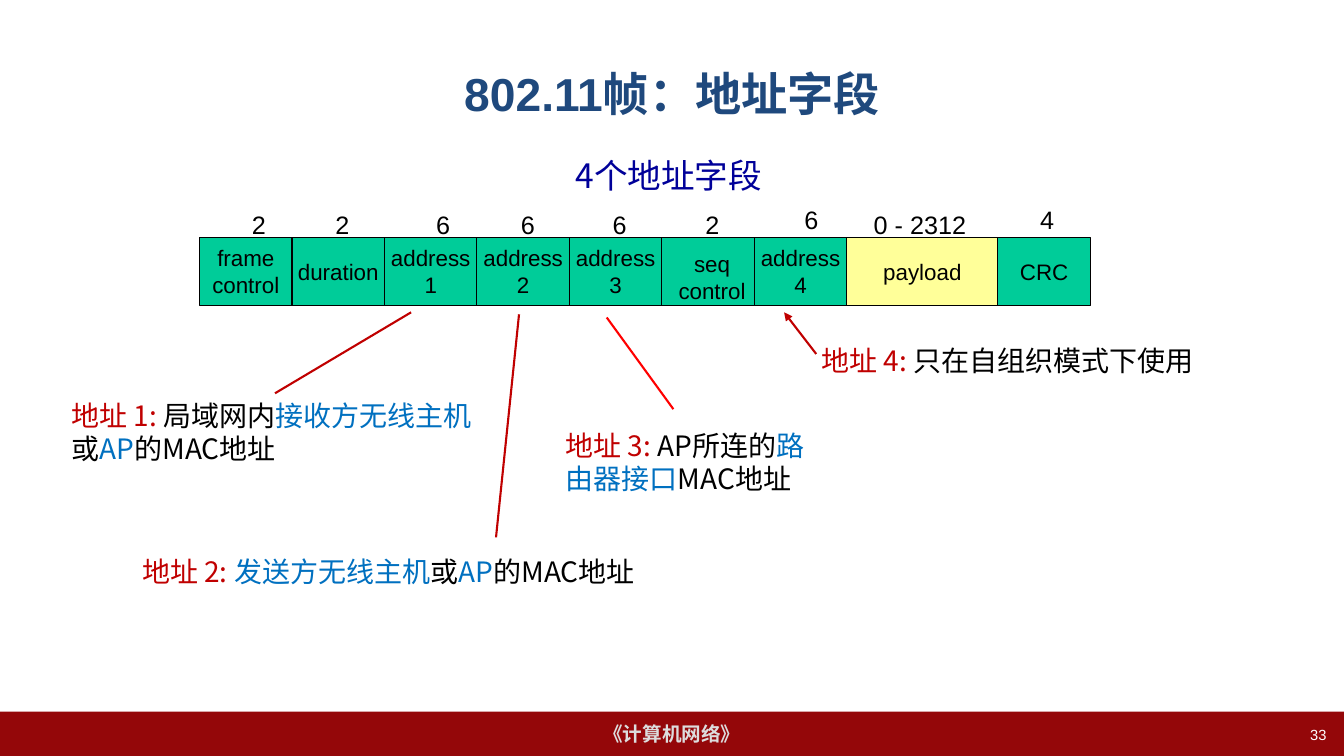
"""Build the slide on the address fields of the 802.11 frame."""
from dataclasses import dataclass
from typing import Optional

from lxml.etree import SubElement
from pptx import Presentation
from pptx.dml.color import RGBColor
from pptx.enum.shapes import MSO_CONNECTOR, MSO_SHAPE
from pptx.enum.text import MSO_ANCHOR, MSO_AUTO_SIZE, PP_ALIGN
from pptx.oxml.ns import qn
from pptx.util import Cm, Pt


@dataclass(frozen=True)
class Theme:
    latin: str = "Arial"
    cjk: str = "Noto Sans CJK SC"
    title: str = "1F497D"
    heading: str = "000099"
    ink: str = "000000"
    label: str = "C00000"
    accent: str = "0070C0"
    bright: str = "FF0000"
    header_field: str = "00CC99"
    payload_field: str = "FFFF99"
    footer: str = "940709"
    footer_text: str = "DDDDDD"
    page_text: str = "FFFFFF"
    title_size: float = 33
    heading_size: float = 24
    note_size: float = 20
    count_size: float = 18
    field_size: float = 16
    footer_size: float = 14
    page_size: float = 10.5


@dataclass(frozen=True)
class Box:
    left: float
    top: float
    width: float
    height: float

    def lengths(self):
        return Cm(self.left), Cm(self.top), Cm(self.width), Cm(self.height)


@dataclass(frozen=True)
class Field:
    name: str
    size: str
    size_shift: float
    size_top: float = 5.16
    width: float = 2.33
    size_width: float = 0.86
    fill: str = Theme.header_field
    inset_left: float = 0
    inset_top: float = 0


@dataclass(frozen=True)
class Leader:
    start: tuple[float, float]
    end: tuple[float, float]
    color: str = Theme.label
    arrow: bool = False


@dataclass(frozen=True)
class Note:
    box: Box
    lines: list
    leader: Leader


THEME = Theme()
FRAME_LEFT, FRAME_TOP, FRAME_HEIGHT = 5.03, 5.99, 1.7

FIELDS = [
    Field("frame\ncontrol", "2", 1.07),
    Field("duration", "2", 0.84),
    Field("address\n1", "6", 1.05),
    Field("address\n2", "6", 0.86),
    Field("address\n3", "6", 0.84),
    Field("seq\ncontrol", "2", 0.85, inset_left=0.2, inset_top=0.3),
    Field("address\n4", "6", 1.01, size_top=5.03),
    Field("payload", "0 - 2312", 0.43, width=3.81, size_width=2.84, fill=THEME.payload_field),
    Field("CRC", "4", 0.81, size_top=5.03),
]

NOTES = [
    Note(Box(1.55, 9.91, 10.8, 1.96),
         [[("地址 1: ", THEME.label), ("局域网内", THEME.ink), ("接收方无线主机", THEME.accent)],
          [("或", THEME.ink), ("AP", THEME.accent), ("的MAC地址", THEME.ink)]],
         Leader((6.93, 9.91), (10.36, 7.87))),
    Note(Box(3.33, 13.84, 15.14, 1.12),
         [[("地址 2: ", THEME.label), ("发送方无线主机", THEME.accent), ("或", THEME.ink),
           ("AP", THEME.accent), ("的MAC地址", THEME.ink)]],
         Leader((12.5, 13.54), (13.08, 7.92))),
    Note(Box(14, 10.67, 6.93, 1.96),
         [[("地址 3: ", THEME.label), ("AP所连的", THEME.ink), ("路由器接口", THEME.accent),
           ("MAC地址", THEME.ink)]],
         Leader((16.97, 10.31), (15.29, 8), THEME.bright)),
    Note(Box(20.45, 8.53, 10.44, 1.12),
         [[("地址 4: ", THEME.label), ("只在自组织模式下使用", THEME.ink)]],
         Leader((20.57, 8.92), (19.76, 7.87), arrow=True)),
]


def write(frame, text, *, size: float, color: str = THEME.ink, font: str = THEME.latin,
          bold: bool = False, align=PP_ALIGN.LEFT, anchor=MSO_ANCHOR.TOP, wrap: bool = True) -> None:
    """Fill a text frame from a string or from lines of (text, colour) runs."""
    lines = [[(line, color)] for line in text.split("\n")] if isinstance(text, str) else text
    frame.auto_size = MSO_AUTO_SIZE.NONE
    frame.word_wrap = wrap
    frame.vertical_anchor = anchor
    for number, line in enumerate(lines):
        paragraph = frame.add_paragraph() if number else frame.paragraphs[0]
        paragraph.alignment = align
        for words, tone in line:
            run = paragraph.add_run()
            run.text = words
            run.font.size = Pt(size)
            run.font.bold = bold
            run.font.name = font
            run.font.color.rgb = RGBColor.from_string(tone)
            SubElement(run.font._element, qn("a:ea"), typeface=THEME.cjk)


def add_label(shapes, box: Box, text, **style) -> None:
    """Add a text box."""
    write(shapes.add_textbox(*box.lengths()).text_frame, text, **style)


def add_block(shapes, box: Box, fill: str, outline: Optional[str] = None):
    """Add a filled rectangle and return it."""
    block = shapes.add_shape(MSO_SHAPE.RECTANGLE, *box.lengths())
    block.shadow.inherit = False
    block.fill.solid()
    block.fill.fore_color.rgb = RGBColor.from_string(fill)
    if outline:
        block.line.color.rgb = RGBColor.from_string(outline)
        block.line.width = Pt(0.75)
    else:
        block.line.fill.background()
    return block


def add_field(shapes, field: Field, left: float) -> None:
    """Add one frame field with its byte count above."""
    block = add_block(shapes, Box(left, FRAME_TOP, field.width, FRAME_HEIGHT), field.fill, THEME.ink)
    frame = block.text_frame
    frame.margin_left, frame.margin_top = Cm(field.inset_left), Cm(field.inset_top)
    frame.margin_right = frame.margin_bottom = 0
    write(frame, field.name, size=THEME.field_size, align=PP_ALIGN.CENTER,
          anchor=MSO_ANCHOR.MIDDLE, wrap=False)
    add_label(shapes, Box(left + field.size_shift, field.size_top, field.size_width, 1.02),
              field.size, size=THEME.count_size, wrap=False)


def add_leader(shapes, leader: Leader) -> None:
    """Add the line that leads from a note to its field."""
    line = shapes.add_connector(MSO_CONNECTOR.STRAIGHT, *map(Cm, leader.start + leader.end))
    line.line.color.rgb = RGBColor.from_string(leader.color)
    line.line.width = Pt(1.5)
    if leader.arrow:
        SubElement(line.line._get_or_add_ln(), qn("a:tailEnd"), type="triangle")
    SubElement(line._element.spPr, qn("a:effectLst"))


def main() -> None:
    """Build and save the slide."""
    deck = Presentation()
    deck.slide_width, deck.slide_height = Cm(33.87), Cm(19.05)
    slide = deck.slides.add_slide(deck.slide_layouts[5])
    shapes = slide.shapes

    title = shapes.title
    title.left, title.top, title.width, title.height = Box(1.7, 0.76, 30.48, 3.18).lengths()
    write(title.text_frame, "802.11帧：地址字段", size=THEME.title_size, color=THEME.title,
          bold=True, align=PP_ALIGN.CENTER, anchor=MSO_ANCHOR.MIDDLE)

    footer = add_block(shapes, Box(0, 17.93, 33.87, 1.12), THEME.footer)
    write(footer.text_frame, "《计算机网络》", size=THEME.footer_size, color=THEME.footer_text,
          bold=True, align=PP_ALIGN.CENTER, anchor=MSO_ANCHOR.MIDDLE, wrap=False)
    add_label(shapes, Box(25.78, 18.16, 7.9, 0.89), "33", size=THEME.page_size,
              color=THEME.page_text, align=PP_ALIGN.RIGHT)

    add_label(shapes, Box(12.45, 3.78, 8.81, 1.27), "4个地址字段", size=THEME.heading_size,
              color=THEME.heading, font=THEME.cjk, align=PP_ALIGN.CENTER)

    frame_group = shapes.add_group_shape()
    left = FRAME_LEFT
    for field in FIELDS:
        add_field(frame_group.shapes, field, left)
        left += field.width

    for note in NOTES:
        add_label(shapes, note.box, note.lines, size=THEME.note_size, font=THEME.cjk)
        add_leader(shapes, note.leader)

    deck.save("out.pptx")


if __name__ == "__main__":
    main()
